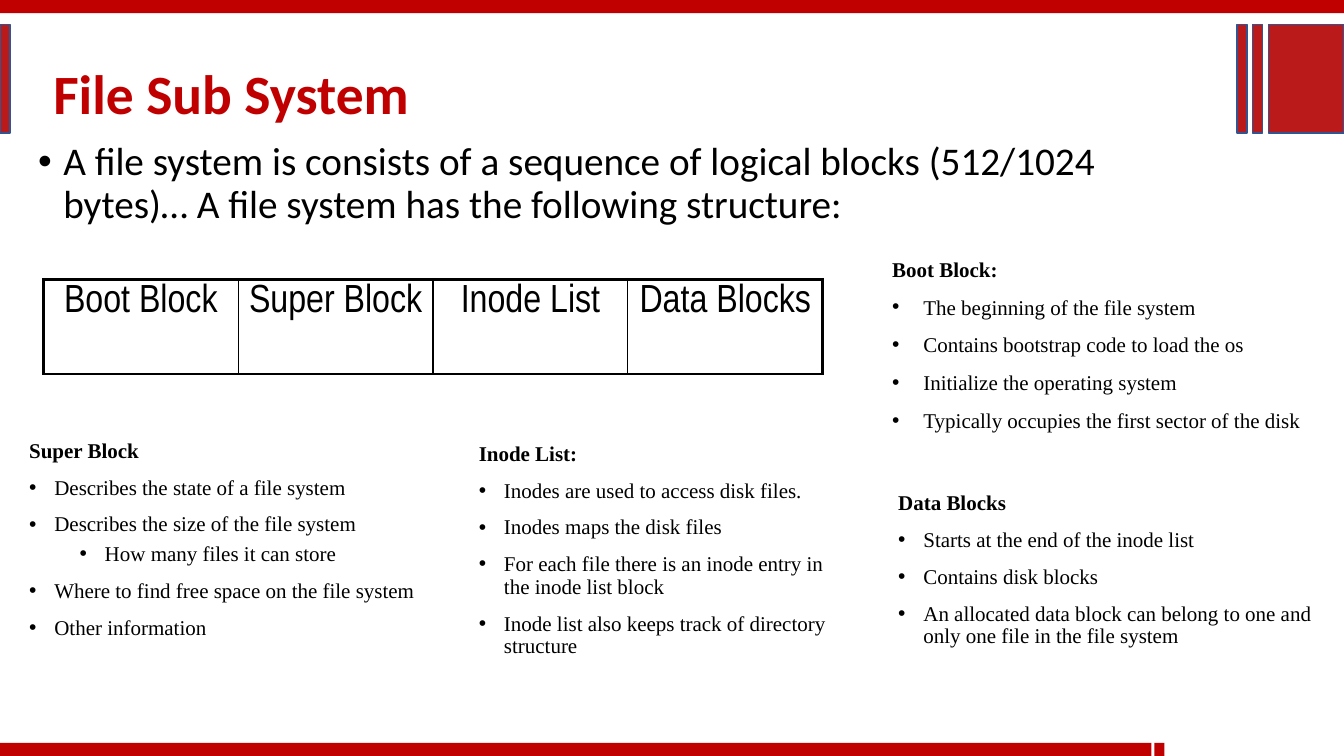
import pptx
import pptx.util
import pptx.dml.color
import pptx.enum.shapes
import pptx.enum.text
import pptx.oxml.ns
import lxml.etree

Inches, Pt = pptx.util.Inches, pptx.util.Pt
RGBColor = pptx.dml.color.RGBColor

# Content
TITLE = "File Sub System"
INTRO = ("A file system is consists of a sequence of logical blocks (512/1024 bytes)… "
         "A file system has the following structure:")
BLOCKS = ["Boot Block", "Super Block", "Inode List", "Data Blocks"]
# Each note: heading, bullets as (level, text), box, bullet indent, line spacing, space before
NOTES = [
    ("Boot Block:", [
        (0, "The beginning of the file system"),
        (0, "Contains bootstrap code to load the os"),
        (0, "Initialize the operating system"),
        (0, "Typically occupies the first sector of the disk"),
    ], (8.75, 2.37, 4.58, 1.96), 0.31, 1.5, 0),
    ("Super Block", [
        (0, "Describes the state of a file system"),
        (0, "Describes the size of the file system"),
        (1, "How many files it can store"),
        (0, "Where to find free space on the file system"),
        (0, "Other information"),
    ], (0.19, 4.32, 4.25, 2.12), 0.25, 0.9, 10),
    ("Inode List:", [
        (0, "Inodes are used to access disk files."),
        (0, "Inodes maps the disk files"),
        (0, "For each file there is an inode entry in the inode list block"),
        (0, "Inode list also keeps track of directory structure"),
    ], (4.65, 4.35, 3.71, 2.41), 0.25, 0.9, 10),
    ("Data Blocks", [
        (0, "Starts at the end of the inode list"),
        (0, "Contains disk blocks"),
        (0, "An allocated data block can belong to one and only one file in the file system"),
    ], (8.81, 4.84, 4.5, 1.63), 0.25, 0.9, 10),
]

# Style
RED = RGBColor(0xC0, 0x00, 0x00)
BRICK = RGBColor(0xBA, 0x1A, 0x1A)
BLUE = RGBColor(0x32, 0x54, 0x91)
BLACK = RGBColor(0, 0, 0)
WIDTH, HEIGHT = 13.33, 7.5
BAR, STRIPE = 0.13, 0.1
TAB_TOP, TAB_HEIGHT = 0.24, 1.08

deck = pptx.Presentation()
deck.slide_width, deck.slide_height = Inches(WIDTH), Inches(HEIGHT)
page = deck.slides.add_slide(deck.slide_layouts[6])


def add_block(left, top, width, height, fill, outline=None):
    block = page.shapes.add_shape(pptx.enum.shapes.MSO_SHAPE.RECTANGLE,
                                  *map(Inches, (left, top, width, height)))
    block.shadow.inherit = False
    block.fill.solid()
    block.fill.fore_color.rgb = fill
    if outline is None:
        block.line.fill.background()
    else:
        block.line.color.rgb = outline
        block.line.width = Pt(1)


def add_box(left, top, width, height):
    box = page.shapes.add_textbox(*map(Inches, (left, top, width, height)))
    box.text_frame.word_wrap = True
    return box.text_frame


def style(para, font, size, color=BLACK, bold=False):
    for span in para.runs:
        span.font.name, span.font.size, span.font.bold = font, Pt(size), bold
        span.font.color.rgb = color


def add_bullet(para, indent, level=0):
    props = para._p.get_or_add_pPr()
    props.set("marL", str(Inches(indent + level * 0.5)))
    props.set("indent", str(-Inches(indent)))
    for tag, key, value in (("a:buFont", "typeface", "Arial"), ("a:buChar", "char", "•")):
        lxml.etree.SubElement(props, pptx.oxml.ns.qn(tag)).set(key, value)


def set_border(cell, side, points):
    props = cell._tc.get_or_add_tcPr()
    line = lxml.etree.Element(pptx.oxml.ns.qn("a:ln" + side), w=str(Pt(points)))
    fill = lxml.etree.SubElement(line, pptx.oxml.ns.qn("a:solidFill"))
    lxml.etree.SubElement(fill, pptx.oxml.ns.qn("a:srgbClr"), val=str(BLACK))
    props.insert("LRTB".index(side), line)


# Red bars along the top and bottom edges
add_block(0, 0, WIDTH, BAR, RED)
for left, width in ((0, 11.42), (11.45, STRIPE)):
    add_block(left, HEIGHT - BAR, width, BAR, RED)

# Tabs beside the title
for left, width in ((0, STRIPE), (12.27, STRIPE), (12.42, STRIPE), (12.58, 0.75)):
    add_block(left, TAB_TOP, width, TAB_HEIGHT, BRICK, BLUE)

# Title
frame = add_box(0.43, 0.85, 4.08, 0.21)
frame.vertical_anchor = pptx.enum.text.MSO_ANCHOR.MIDDLE
frame.text = TITLE
frame.paragraphs[0].line_spacing = 0.9
style(frame.paragraphs[0], "Calibri", 39.6, RED, True)

# Introduction
frame = add_box(0.28, 1.36, 11.5, 1)
frame.text = INTRO
add_bullet(frame.paragraphs[0], 0.25)
frame.paragraphs[0].line_spacing = 0.9
style(frame.paragraphs[0], "Calibri", 28)

# Block table
grid = page.shapes.add_table(1, len(BLOCKS), *map(Inches, (0.43, 2.77, 7.73, 0.94))).table
grid.first_row = grid.horz_banding = False
for index, label in enumerate(BLOCKS):
    cell = grid.cell(0, index)
    cell.fill.background()
    cell.text = label
    para = cell.text_frame.paragraphs[0]
    para.alignment = pptx.enum.text.PP_ALIGN.CENTER
    style(para, "Arial Narrow", 28)
    set_border(cell, "L", 2.25 if index == 0 else 1)
    set_border(cell, "R", 2.25 if index == len(BLOCKS) - 1 else 1)
    set_border(cell, "T", 2.25)
    set_border(cell, "B", 2.25)

# Notes on each block
for heading, bullets, place, indent, spacing, before in NOTES:
    frame = add_box(*place)
    frame.text = heading
    frame.paragraphs[0].line_spacing = spacing
    style(frame.paragraphs[0], "Times New Roman", 15, bold=True)
    for level, text in bullets:
        para = frame.add_paragraph()
        para.text = text
        para.level = level
        add_bullet(para, indent, level)
        para.line_spacing = spacing
        para.space_before = Pt(before / 2 if level else before)
        style(para, "Times New Roman", 15)

deck.save("out.pptx")
